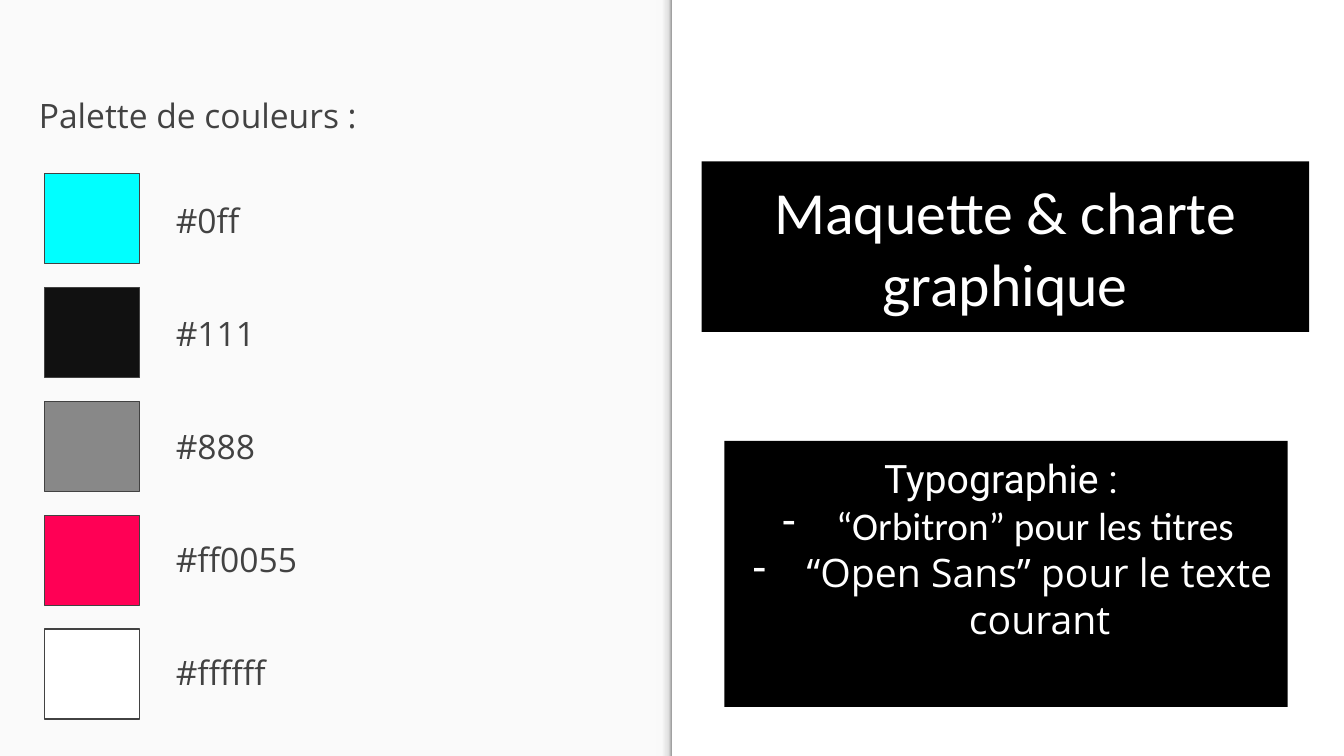
"""Build the colour palette and typography slide."""
from dataclasses import dataclass
from typing import NamedTuple

from lxml import etree
from pptx import Presentation
from pptx.dml.color import RGBColor
from pptx.enum.shapes import MSO_SHAPE
from pptx.enum.text import MSO_ANCHOR, MSO_AUTO_SIZE, PP_ALIGN
from pptx.oxml.ns import qn
from pptx.util import Inches, Pt

RECTANGLE = MSO_SHAPE.RECTANGLE
TOP, BOTTOM = MSO_ANCHOR.TOP, MSO_ANCHOR.BOTTOM
LEFT, CENTER = PP_ALIGN.LEFT, PP_ALIGN.CENTER
NO_FIT = MSO_AUTO_SIZE.NONE
WIDTH, HEIGHT = Inches(10), Inches(5.625)
COLUMN, ROW = WIDTH / 100, HEIGHT / 56.25
INSET = Inches(0.1)


@dataclass(frozen=True)
class Theme:
    """Colours, fonts and type sizes of the slide."""
    panel: str = "FAFAFA"
    ink: str = "424242"
    block: str = "000000"
    light: str = "FFFFFF"
    fold: tuple = ((0, "F9F9F9"), (36, "F9F9F9"), (80, "DEDEDE"), (100, "999999"))
    title_font: str = "Calibri"
    heading_font: str = "Roboto"
    body_font: str = "Open Sans"
    title_size: int = 32
    list_size: int = 21
    body_size: int = 18


class Area(NamedTuple):
    """A place on the grid, in columns and rows."""
    left: float
    top: float
    width: float
    height: float


class Line(NamedTuple):
    """A paragraph with its format."""
    text: str
    font: str
    size: int
    color: str
    align: PP_ALIGN = LEFT
    dashed: bool = False


class Swatch(NamedTuple):
    """A palette colour and the code shown beside it."""
    color: str
    code: str


THEME = Theme()
SWATCHES = (
    Swatch("00FFFF", "#0ff"),
    Swatch("111111", "#111"),
    Swatch("888888", "#888"),
    Swatch("FF0055", "#ff0055"),
    Swatch("FFFFFF", "#ffffff"),
)
SWATCH_AREA, SWATCH_PITCH = Area(3.3, 12.9, 7.1, 6.7), 8.48
CODE_AREA, CODE_PITCH = Area(12.1, 13.9, 34.6, 5), 8.4


def set_values(target, values: dict) -> None:
    """Set each named attribute of the target."""
    for name, value in values.items():
        setattr(target, name, value)


def place(area: Area) -> tuple[int, ...]:
    """Turn a grid area into slide lengths."""
    return tuple(round(share * unit) for share, unit in zip(area, (COLUMN, ROW) * 2))


def add_rectangle(page, area: Area, color: str, outline: str | None = None):
    """Draw a flat rectangle, with a thin outline if one is given."""
    box = page.shapes.add_shape(RECTANGLE, *place(area))
    box.shadow.inherit = False
    box.fill.solid()
    box.fill.fore_color.rgb = RGBColor.from_string(color)
    if outline:
        box.line.color.rgb = RGBColor.from_string(outline)
        box.line.width = Pt(0.75)
    else:
        box.line.fill.background()
    return box


def add_fold(page, area: Area) -> None:
    """Draw the shaded edge of the left panel."""
    box = add_rectangle(page, area, THEME.panel)
    box.fill.gradient()
    box.fill.gradient_angle = 0
    stops = box.fill._fill._gradFill.find(qn("a:gsLst"))
    for stop in list(stops):
        stops.remove(stop)
    for percent, color in THEME.fold:
        stop = etree.SubElement(stops, qn("a:gs"), pos=str(percent * 1000))
        etree.SubElement(stop, qn("a:srgbClr"), val=color)


def add_dash(paragraph, color: str) -> None:
    """Give a paragraph a hanging dash bullet."""
    properties = paragraph._p.get_or_add_pPr()
    properties.set("marL", str(Inches(0.5)))
    properties.set("indent", str(-Inches(0.4)))
    bullet_color = etree.SubElement(properties, qn("a:buClr"))
    etree.SubElement(bullet_color, qn("a:srgbClr"), val=color)
    etree.SubElement(properties, qn("a:buChar"), char="-")


def write(box, lines: tuple[Line, ...], anchor: MSO_ANCHOR = TOP) -> None:
    """Write formatted paragraphs into a box."""
    frame = box.text_frame
    set_values(frame, {
        "word_wrap": True, "auto_size": NO_FIT, "vertical_anchor": anchor,
        "margin_left": INSET, "margin_right": INSET,
        "margin_top": INSET, "margin_bottom": INSET,
    })
    for index, line in enumerate(lines):
        paragraph = frame.add_paragraph() if index else frame.paragraphs[0]
        paragraph.alignment = line.align
        if line.dashed:
            add_dash(paragraph, line.color)
        span = paragraph.add_run()
        span.text = line.text
        set_values(span.font, {"name": line.font, "size": Pt(line.size)})
        span.font.color.rgb = RGBColor.from_string(line.color)


def add_label(page, area: Area, text: str) -> None:
    """Add a line of body text."""
    box = page.shapes.add_textbox(*place(area))
    write(box, (Line(text, THEME.body_font, THEME.body_size, THEME.ink),))


def add_title(page, area: Area, text: str) -> None:
    """Move, fill and write the title placeholder."""
    title = page.shapes.title
    set_values(title, dict(zip(("left", "top", "width", "height"), place(area))))
    title.fill.solid()
    title.fill.fore_color.rgb = RGBColor.from_string(THEME.block)
    line = Line(text, THEME.title_font, THEME.title_size, THEME.light, CENTER)
    write(title, (line,), BOTTOM)


def add_typography(page, area: Area) -> None:
    """Draw the block that names the typefaces."""
    entries = (
        ("Typographie : ", THEME.heading_font, False),
        ("“Orbitron” pour les titres ", THEME.title_font, True),
        ("“Open Sans” pour le texte courant", THEME.body_font, True),
    )
    write(add_rectangle(page, area, THEME.block), tuple(
        Line(text, font, THEME.list_size, THEME.light, CENTER, dashed)
        for text, font, dashed in entries
    ))


def add_palette(page) -> None:
    """Draw the swatches and their codes in equal steps."""
    add_label(page, Area(1.9, 6.1, 46.2, 5), "Palette de couleurs :")
    for index, swatch in enumerate(SWATCHES):
        area = SWATCH_AREA._replace(top=SWATCH_AREA.top + index * SWATCH_PITCH)
        add_rectangle(page, area, swatch.color, THEME.ink)
        area = CODE_AREA._replace(top=CODE_AREA.top + index * CODE_PITCH)
        add_label(page, area, swatch.code)


def main() -> None:
    """Build and save the deck."""
    deck = Presentation()
    set_values(deck, {"slide_width": WIDTH, "slide_height": HEIGHT})
    page = deck.slides.add_slide(deck.slide_layouts.get_by_name("Title Only"))
    add_rectangle(page, Area(0, 0, 50, 56.25), THEME.panel)
    add_fold(page, Area(48.8, 0, 1.2, 56.25))
    add_title(page, Area(52.2, 12, 45.2, 12.7), "Maquette & charte graphique")
    add_typography(page, Area(53.9, 32.8, 41.9, 19.8))
    add_palette(page)
    deck.save("out.pptx")


if __name__ == "__main__":
    main()
